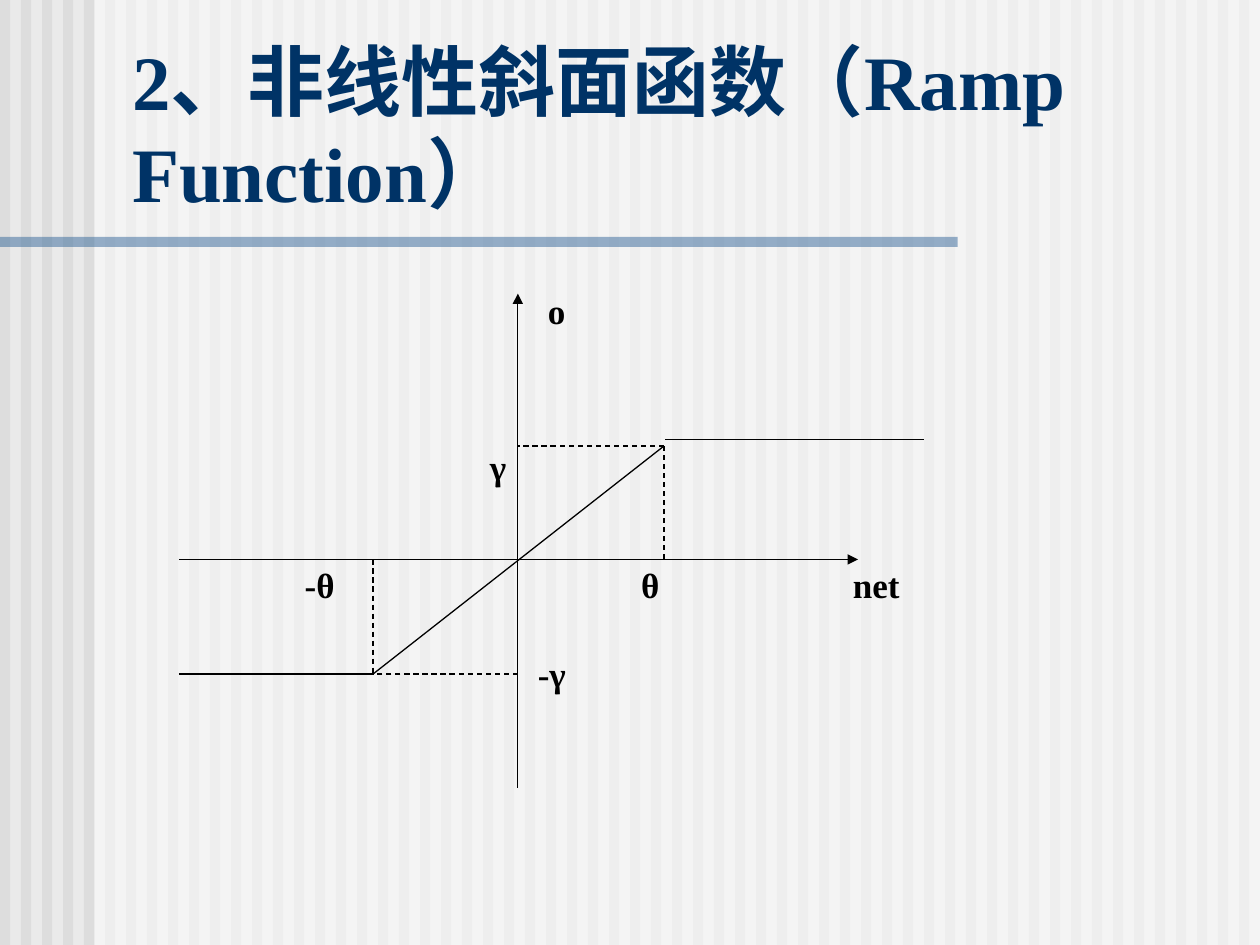
from pptx import Presentation
from pptx.dml.color import RGBColor
from pptx.enum.dml import MSO_LINE
from pptx.enum.shapes import MSO_CONNECTOR, MSO_SHAPE
from pptx.enum.text import MSO_ANCHOR
from pptx.oxml.ns import qn
from pptx.util import Inches, Pt
from lxml.etree import SubElement

FONT = "Times New Roman"
COLORS = {"back": "EAEAEA", "stripe": "DDDDDD", "veil": "FFFFFF",
          "rule": "336699", "title": "003366", "ink": "000000"}
TITLE = "2、非线性斜面函数（Ramp Function）"

LEFT, MID, RIGHT = 2.96, 4.11, 5.27
HIGH, ZERO, LOW = 3.54, 4.44, 5.35
START, TOP = 1.42, 3.49

LINES = [
    ((START, ZERO), (6.81, ZERO), "arrow"),
    ((MID, 6.25), (MID, 2.33), "arrow"),
    ((MID, LOW), (LEFT, LOW), "dash"),
    ((RIGHT, HIGH), (MID, HIGH), "dash"),
    ((RIGHT, HIGH), (LEFT, LOW), "solid"),
    ((START, LOW), (LEFT, LOW), "solid"),
    ((RIGHT, HIGH), (RIGHT, ZERO), "dash"),
    ((LEFT, ZERO), (LEFT, LOW), "dash"),
    ((5.28, TOP), (7.33, TOP), "solid"),
]
LABELS = [
    ("γ", 3.79, 3.55, 0.8),
    ("-γ", 4.17, 5.17, 0.9),
    ("θ", 4.99, 4.42, 1.0),
    ("-θ", 2.32, 4.42, 1.0),
    ("net", 6.67, 4.42, 1.0),
    ("o", 4.25, 2.25, 1.0),
]


def paint(fill, name):
    fill.solid()
    fill.fore_color.rgb = RGBColor.from_string(COLORS[name])


def add_bar(slide, box, name, alpha=None):
    bar = slide.shapes.add_shape(MSO_SHAPE.RECTANGLE, *map(Inches, box))
    bar.shadow.inherit = False
    bar.line.fill.background()
    paint(bar.fill, name)
    if alpha:
        color = bar.fill._xPr.find(qn("a:solidFill"))[0]
        SubElement(color, qn("a:alpha"), val=str(alpha * 1000))


def add_line(slide, start, end, kind):
    line = slide.shapes.add_connector(
        MSO_CONNECTOR.STRAIGHT, *map(Inches, start + end))
    line.line.width = Pt(0.75)
    paint(line.line.fill, "ink")
    if kind == "dash":
        line.line.dash_style = MSO_LINE.DASH
    if kind == "arrow":
        SubElement(line.line._get_or_add_ln(), qn("a:tailEnd"), type="triangle")
    SubElement(line._element.spPr, qn("a:effectLst"))


def add_text(slide, text, box, size, name, space=1.0):
    frame = slide.shapes.add_textbox(*map(Inches, box)).text_frame
    frame.word_wrap = True
    para = frame.paragraphs[0]
    para.text = text
    para.line_spacing = space
    para.font.name = FONT
    para.font.size = Pt(size)
    para.font.bold = True
    para.font.color.rgb = RGBColor.from_string(COLORS[name])
    return frame


def main():
    deck = Presentation()
    deck.slide_width, deck.slide_height = Inches(10), Inches(7.5)
    slide = deck.slides.add_slide(deck.slide_layouts[6])
    paint(slide.background.fill, "back")

    for i in range(60):
        add_bar(slide, (i / 6, 0, 0.08, 7.5), "stripe")
    add_bar(slide, (0.75, 0, 9.25, 7.5), "veil", 50)
    add_bar(slide, (0, 1.88, 7.6, 0.08), "rule", 50)

    head = add_text(slide, TITLE, (0.95, 0.21, 8.93, 1.57), 44, "title")
    head.vertical_anchor = MSO_ANCHOR.BOTTOM
    for start, end, kind in LINES:
        add_line(slide, start, end, kind)
    for text, left, top, space in LABELS:
        add_text(slide, text, (left, top, 0.75, 0.44), 20, "ink", space)

    deck.save("out.pptx")


if __name__ == "__main__":
    main()
